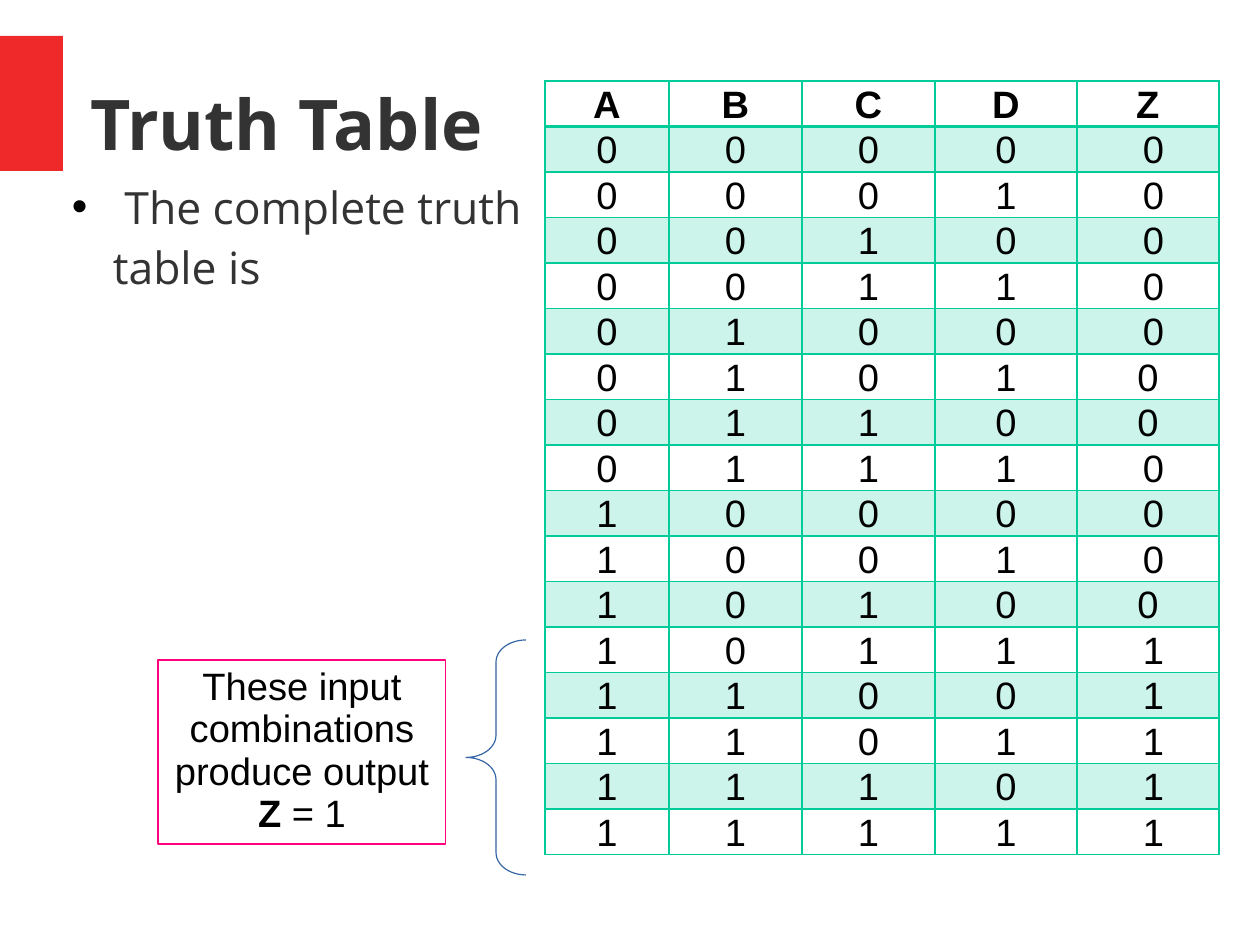
from itertools import product

from lxml.etree import SubElement
from pptx import Presentation
from pptx.dml.color import RGBColor
from pptx.enum.shapes import MSO_SHAPE
from pptx.enum.text import MSO_ANCHOR, MSO_AUTO_SIZE, PP_ALIGN
from pptx.oxml.ns import qn
from pptx.util import Pt

TITLE = "Truth Table"
BODY = " The complete truth table is"
NOTE = [("These input combinations produce output ", False), ("Z", True), (" = 1", False)]
HEADER = ["A", "B", "C", "D", "Z"]
INPUTS = list(product((0, 1), repeat=4))
ROWS = [HEADER] + [[*abcd, int(abcd >= (1, 0, 1, 1))] for abcd in INPUTS]
CENTRED_Z_ROWS = (0, 6, 7, 11)

COLORS = {"red": "EF2929", "heading": "333333", "text": "000000",
          "note": "FF007F", "brace": "3465A4", "grid": "00CC99"}
SCALE = 8000
SLIDE = (1260, 945)
BLOCK_BOX = (0, 36, 63, 135)
TITLE_BOX = (90, 38, 1106, 158)
BODY_BOX = (72, 173, 459, 269)
NOTE_BOX = (158, 660, 288, 184)
BRACE_BOX = (466, 640, 60, 235)
TABLE_AT = (545, 81)
COL_WIDTHS = (124, 133, 133, 142, 142)
ROW_HEIGHT = 45
HANGING = 41
CELL_MARGIN = 8
Z_SHIFT = 11


def px(n):
    return n * SCALE


def rgb(name):
    return RGBColor.from_string(COLORS[name])


def style(r, size, font, color, bold=False):
    r.font.size = Pt(size)
    r.font.name = font
    r.font.bold = bold
    r.font.color.rgb = rgb(color)


def set_margins(frame, left, top, right, bottom):
    frame.margin_left, frame.margin_top = px(left), px(top)
    frame.margin_right, frame.margin_bottom = px(right), px(bottom)


def add_shape(s, kind, box, fill=None, line=None):
    sp = s.shapes.add_shape(kind, *map(px, box))
    sp.shadow.inherit = False
    if fill:
        sp.fill.solid()
        sp.fill.fore_color.rgb = rgb(fill)
    else:
        sp.fill.background()
    if line:
        sp.line.color.rgb = rgb(line)
        sp.line.width = Pt(0.75)
    else:
        sp.line.fill.background()
    return sp


def set_frame(sp, text):
    tf = sp.text_frame
    tf.text = text
    tf.word_wrap = True
    tf.auto_size = MSO_AUTO_SIZE.NONE
    set_margins(tf, 0, 0, 0, 0)
    p = tf.paragraphs[0]
    p.alignment = PP_ALIGN.LEFT
    p.line_spacing = 1.13
    return tf, p


def add_title(s):
    sp = s.shapes.title
    sp.left, sp.top, sp.width, sp.height = map(px, TITLE_BOX)
    tf, p = set_frame(sp, TITLE)
    tf.vertical_anchor = MSO_ANCHOR.MIDDLE
    style(p.runs[0], 44, "Open Sans", "heading", True)


def add_body(s):
    tf, p = set_frame(s.shapes.add_textbox(*map(px, BODY_BOX)), BODY)
    p.space_after = Pt(14)
    style(p.runs[0], 28, "Open Sans", "heading")
    pPr = p._p.get_or_add_pPr()
    pPr.set("marL", str(px(HANGING)))
    pPr.set("indent", str(-px(HANGING)))
    SubElement(SubElement(pPr, qn("a:buClr")), qn("a:srgbClr"), val=COLORS["text"])
    SubElement(pPr, qn("a:buFont"), typeface="Arial")
    SubElement(pPr, qn("a:buChar"), char="•")


def add_note(s):
    tf = add_shape(s, MSO_SHAPE.RECTANGLE, NOTE_BOX, line="note").text_frame
    tf.word_wrap = True
    tf.vertical_anchor = MSO_ANCHOR.TOP
    set_margins(tf, 11, 6, 11, 6)
    p = tf.paragraphs[0]
    p.alignment = PP_ALIGN.CENTER
    p.line_spacing = 0.93
    for text, bold in NOTE:
        r = p.add_run()
        r.text = text
        style(r, 24, "Arial", "text", bold)


def set_borders(cell, top, bottom):
    tcPr = cell._tc.get_or_add_tcPr()
    for side, width in (("L", 1), ("R", 1), ("T", top), ("B", bottom)):
        ln = SubElement(tcPr, qn(f"a:ln{side}"), w=str(Pt(width)))
        SubElement(SubElement(ln, qn("a:solidFill")), qn("a:srgbClr"), val=COLORS["grid"])


def set_fill(cell, tinted):
    if not tinted:
        cell.fill.background()
        return
    cell.fill.solid()
    cell.fill.fore_color.rgb = rgb("grid")
    for clr in cell._tc.tcPr.findall(f"{qn('a:solidFill')}/{qn('a:srgbClr')}"):
        SubElement(clr, qn("a:alpha"), val="20000")


def add_truth_table(s):
    size = (sum(COL_WIDTHS), ROW_HEIGHT * len(ROWS))
    table = s.shapes.add_table(len(ROWS), len(HEADER), *map(px, TABLE_AT + size)).table
    table.first_row = table.horz_banding = False
    for col, width in zip(table.columns, COL_WIDTHS):
        col.width = px(width)
    for i, values in enumerate(ROWS):
        table.rows[i].height = px(ROW_HEIGHT)
        for j, value in enumerate(values):
            cell = table.cell(i, j)
            shifted = HEADER[j] == "Z" and i not in CENTRED_Z_ROWS
            set_margins(cell, CELL_MARGIN + Z_SHIFT * shifted, 0, CELL_MARGIN, 0)
            p = cell.text_frame.paragraphs[0]
            p.text = str(value)
            p.alignment = PP_ALIGN.CENTER
            p.line_spacing = 1.07
            style(p.runs[0], 24, "Arial", "text", i == 0)
            set_borders(cell, 2 if i == 1 else 1, 2 if i == 0 else 1)
            set_fill(cell, i % 2 == 1)


def main():
    prs = Presentation()
    prs.slide_width, prs.slide_height = map(px, SLIDE)
    s = prs.slides.add_slide(prs.slide_layouts[5])
    add_shape(s, MSO_SHAPE.RECTANGLE, BLOCK_BOX, fill="red")
    add_title(s)
    add_body(s)
    add_note(s)
    brace = add_shape(s, MSO_SHAPE.LEFT_BRACE, BRACE_BOX, line="brace")
    brace.adjustments[0] = 0.37
    brace.adjustments[1] = 0.5
    add_truth_table(s)
    prs.save("out.pptx")


if __name__ == "__main__":
    main()
